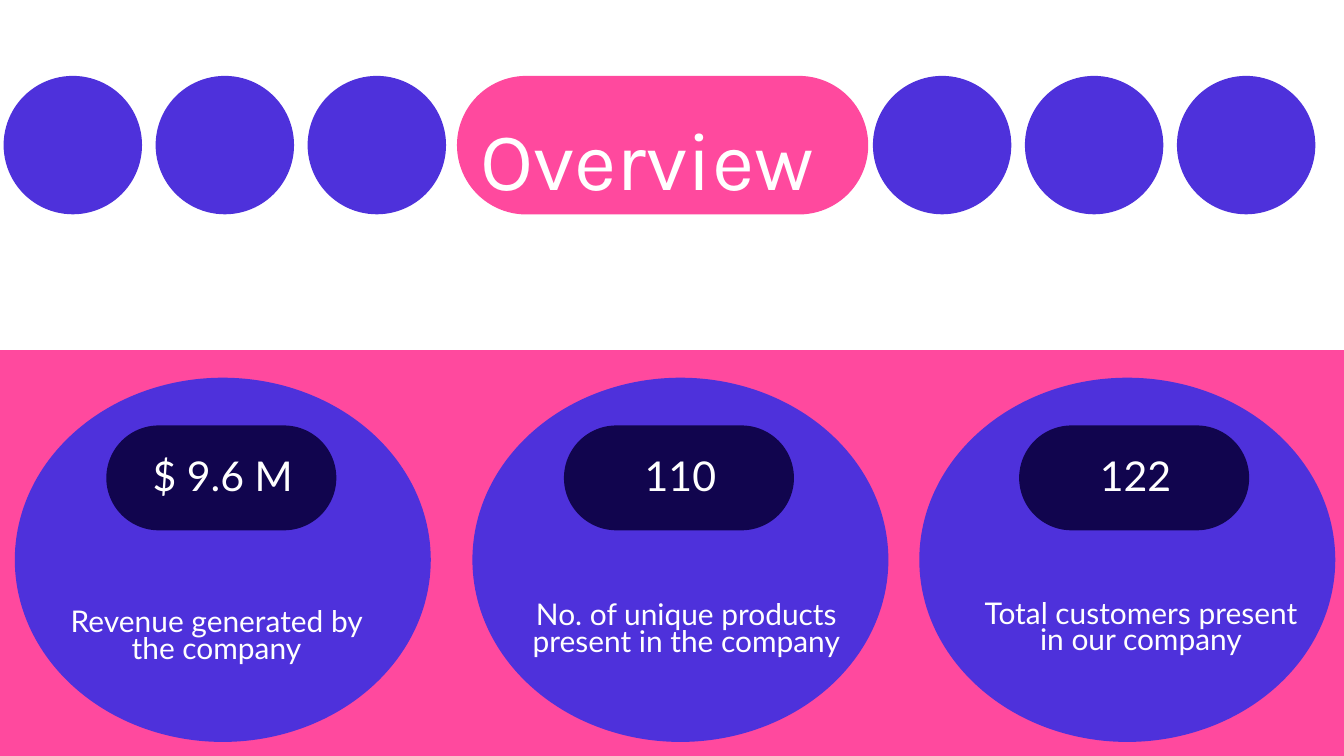
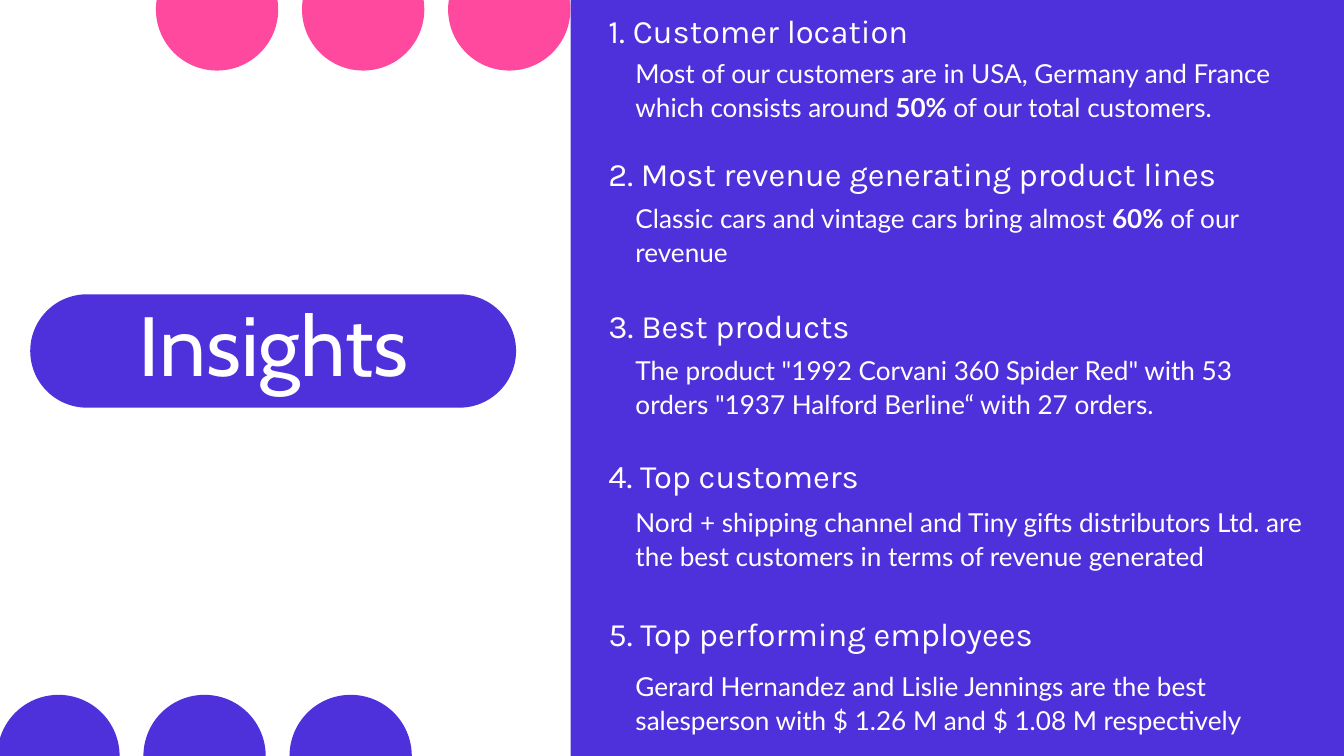
import dataclasses

import pptx
import pptx.dml.color
import pptx.enum.shapes
import pptx.enum.text
import pptx.util

WIDTH, HEIGHT = 20, 11.25
WHITE, PINK, VIOLET, NAVY = "FFFFFF", "FF499E", "4E31DB", "11054E"
SHAPE = pptx.enum.shapes.MSO_SHAPE
ANCHOR = pptx.enum.text.MSO_ANCHOR
ALIGN = pptx.enum.text.PP_ALIGN
FIT = pptx.enum.text.MSO_AUTO_SIZE
TITLE_ONLY = 5

STYLES = {
    "overview": {"name": "Karla", "size": 88, "line": 132, "align": ALIGN.LEFT},
    "insights": {"name": "Cabin", "size": 90, "line": 108, "align": ALIGN.CENTER},
    "value": {"name": "Lato", "size": 44, "line": 30, "align": ALIGN.CENTER},
    "caption": {"name": "Lato", "size": 32, "line": 28.6, "align": ALIGN.CENTER},
    "heading": {"name": "Karla", "size": 35, "line": 49, "align": ALIGN.LEFT},
    "detail": {"name": "Lato", "size": 28, "line": 36.4, "align": ALIGN.LEFT},
}

CARDS = [
    (1.1, 0, "$ 9.6 M", "Revenue generated by the company", (8, 64.4, 81)),
    (35.15, 0, "110", "No. of unique products present in the company", (4.2, 62.4, 94.5)),
    (68.4, 2, "122", "Total customers present in our company", (12.8, 62, 81)),
]

INSIGHTS = [
    (0.53, 7.29, "1. Customer location",
     "Most of our customers are in USA, Germany and France which consists around "
     "*50% *of our total customers."),
    (19.47, 26.4, "2. Most revenue generating product lines",
     "Classic cars and vintage cars bring almost *60%* of our revenue"),
    (39.56, 46.49, "3. Best products",
     'The product "1992 Corvani 360 Spider Red" with 53 orders '
     '"1937 Halford Berline“ with 27 orders.'),
    (59.38, 66.58, "4. Top customers",
     "Nord + shipping channel and Tiny gifts distributors Ltd. are the best "
     "customers in terms of revenue generated"),
    (80.36, 88.36, "5. Top performing employees",
     "Gerard Hernandez and Lislie Jennings are the best salesperson with "
     "$ 1.26 M and $ 1.08 M respectively"),
]


@dataclasses.dataclass
class Box:
    """A region measured in percent of the slide."""

    left: float
    top: float
    width: float
    height: float

    def inner(self, left, top, width, height):
        """Return the region given in percent of this box."""
        return Box(self.left + self.width * left / 100,
                   self.top + self.height * top / 100,
                   self.width * width / 100, self.height * height / 100)

    def lengths(self):
        """Return left, top, width and height as slide lengths."""
        return [pptx.util.Inches(share * side / 100) for share, side in
                zip((self.left, self.top, self.width, self.height),
                    (WIDTH, HEIGHT, WIDTH, HEIGHT))]


def apply(target, values):
    """Set each attribute of the target from a dict."""
    for name, value in values.items():
        setattr(target, name, value)


def color(hex_string):
    """Turn a hex string into a colour."""
    return pptx.dml.color.RGBColor.from_string(hex_string)


def add_block(slide, kind, box, fill):
    """Add a flat shape without line or shadow."""
    shape = slide.shapes.add_shape(kind, *box.lengths())
    shape.shadow.inherit = False
    shape.fill.solid()
    shape.fill.fore_color.rgb = color(fill)
    shape.line.fill.background()
    return shape


def add_pill(slide, box, fill):
    """Add a rectangle with fully round ends."""
    add_block(slide, SHAPE.ROUNDED_RECTANGLE, box, fill).adjustments[0] = 0.5


def add_dots(slide, left, top, diameter, pitch, fill):
    """Add a row of three equal circles."""
    for index in range(3):
        box = Box(left + index * pitch, top, diameter, diameter * WIDTH / HEIGHT)
        add_block(slide, SHAPE.OVAL, box, fill)


def write(shape, text, style, anchor=ANCHOR.TOP, inset=0, fit=FIT.SHAPE_TO_FIT_TEXT):
    """Write one paragraph, with the words between asterisks in bold."""
    margin = pptx.util.Inches(inset)
    values = STYLES[style]
    frame = shape.text_frame
    apply(frame, {"word_wrap": True, "auto_size": fit, "vertical_anchor": anchor,
                  "margin_left": margin, "margin_right": margin,
                  "margin_top": margin, "margin_bottom": margin})
    paragraph = frame.paragraphs[0]
    apply(paragraph, {"alignment": values["align"],
                      "line_spacing": pptx.util.Pt(values["line"])})
    for index, words in enumerate(text.split("*")):
        run = paragraph.add_run()
        run.text = words
        apply(run.font, {"name": values["name"], "size": pptx.util.Pt(values["size"]),
                         "bold": index % 2 == 1})
        run.font.color.rgb = color(WHITE)


def add_text(slide, box, text, style, **options):
    """Add a text box in the given style."""
    write(slide.shapes.add_textbox(*box.lengths()), text, style, **options)


def add_title(slide, box, text, style):
    """Place the title placeholder in front of what is already drawn."""
    title = slide.shapes.title
    title.element.getparent().append(title.element)
    apply(title, dict(zip(("left", "top", "width", "height"), box.lengths())))
    write(title, text, style)


def add_card(slide, box, shift, value, caption, caption_place):
    """Add an ellipse with a key figure and its caption."""
    add_block(slide, SHAPE.OVAL, box, VIOLET)
    add_pill(slide, box.inner(22 + shift, 13.1, 55.3, 28.8), NAVY)
    add_text(slide, box.inner(6 + shift, 15.4, 88, 28.6), value, "value",
             anchor=ANCHOR.MIDDLE, inset=0.28, fit=FIT.NONE)
    add_text(slide, box.inner(*caption_place, 15), caption, "caption")


def add_insight(slide, panel, heading_top, detail_top, heading, detail):
    """Add a numbered heading and its detail to the panel."""
    add_text(slide, panel.inner(4.9, heading_top, 88, 5.4), heading, "heading")
    add_text(slide, panel.inner(8.4, detail_top, 86.9, 8.6), detail, "detail")


def build_overview(slide):
    """Build the slide with three key figures."""
    add_block(slide, SHAPE.RECTANGLE, Box(0, 46.3, 100, 53.7), PINK)
    pill = Box(34, 10.04, 30.6, 18.33)
    add_pill(slide, pill, PINK)
    for left in (0.27, 64.95):
        add_dots(slide, left, pill.top, 10.3, 11.31, VIOLET)
    add_title(slide, pill.inner(5.7, 5.3, 91.5, 79.6), "Overview", "overview")
    for left, *content in CARDS:
        add_card(slide, Box(left, 49.96, 30.95, 48.18), *content)


def build_insights(slide):
    """Build the slide with the numbered insights."""
    pill = Box(2.25, 38.93, 36.15, 15)
    panel = Box(42.45, 0, 57.55, 100)
    add_pill(slide, pill, VIOLET)
    add_block(slide, SHAPE.RECTANGLE, panel, VIOLET)
    add_dots(slide, -0.2, 91.91, 9.1, 10.87, VIOLET)
    add_dots(slide, 11.6, -6.84, 9.1, 10.87, PINK)
    add_title(slide, pill.inner(4.6, -1.8, 91, 90), "Insights", "insights")
    for insight in INSIGHTS:
        add_insight(slide, panel, *insight)


def main():
    """Build and save the presentation."""
    presentation = pptx.Presentation()
    apply(presentation, {"slide_width": pptx.util.Inches(WIDTH),
                         "slide_height": pptx.util.Inches(HEIGHT)})
    for build in (build_overview, build_insights):
        build(presentation.slides.add_slide(presentation.slide_layouts[TITLE_ONLY]))
    presentation.save("out.pptx")


if __name__ == "__main__":
    main()
